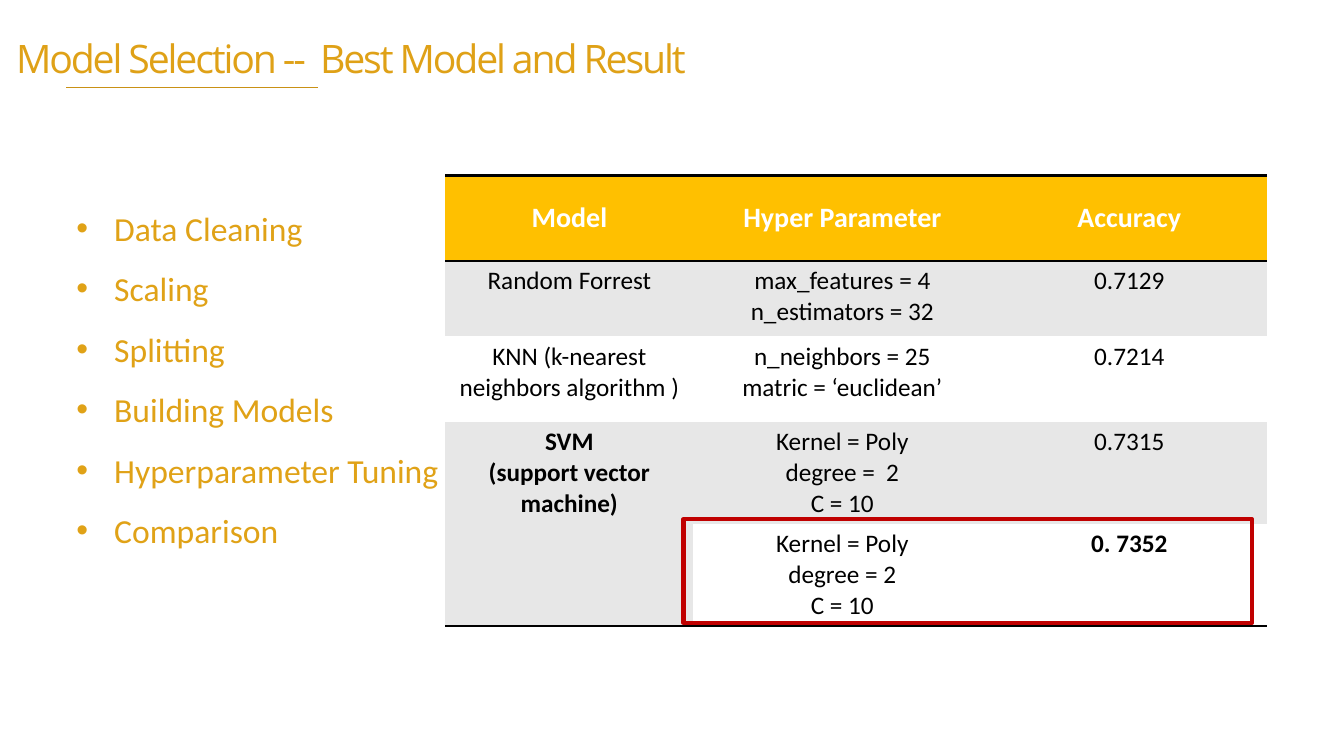
from lxml import etree
from pptx import Presentation
from pptx.dml.color import RGBColor
from pptx.enum import shapes, text
from pptx.oxml import ns
from pptx.util import Pt

HUES = {
    "title": "DFA117", "rule": "C99115", "step": "E0A217", "head": "FFC000",
    "band": "E7E7E7", "white": "FFFFFF", "black": "000000", "mark": "C00000",
}
STEPS = ["Data Cleaning", "Scaling", "Splitting", "Building Models",
         "Hyperparameter Tuning", "Comparison"]
COLS = [177, 213, 197]
ROWS = [61, 54, 61, 73, 73]
CELLS = [
    ["Model", "Hyper Parameter", "Accuracy"],
    ["Random Forrest", "max_features = 4\nn_estimators = 32", "0.7129"],
    ["KNN (k-nearest neighbors algorithm )",
     "n_neighbors = 25\nmatric = ‘euclidean’", "0.7214"],
    ["SVM\n(support vector machine)",
     "Kernel = Poly\ndegree =  2\nC = 10", "0.7315"],
    ["", "Kernel = Poly\ndegree = 2\nC = 10", "0. 7352"],
]
BOLD = {(3, 0), (4, 2)}
CENTER = text.PP_ALIGN.CENTER


def hue(name):
    return RGBColor.from_string(HUES[name])


def put(item, vals):
    for key, val in vals.items():
        setattr(item, key, val)


def add(node, tag, **attrs):
    return etree.SubElement(node, ns.qn(tag), attrs)


def write(frame, lines, look, color, form):
    """Fill a text frame, one paragraph a line."""
    frame.text = "\n".join(lines)
    for par in frame.paragraphs:
        put(par, form)
        for run in par.runs:
            put(run.font, look)
            run.font.color.rgb = hue(color)
    return frame.paragraphs


def text_box(slide, box):
    frame = slide.shapes.add_textbox(*map(Pt, box)).text_frame
    frame.word_wrap = True
    return frame


def title(slide, box):
    left, top, wide, high = box
    # Heading with tight letter spacing
    look = {"name": "Open Sans", "size": Pt(28)}
    pars = write(text_box(slide, box),
                 ["Model Selection --  Best Model and Result "],
                 look, "title", {"alignment": CENTER})
    for run in pars[0].runs:
        run.font._element.set("spc", "-150")
    # Thin rule under the heading
    x, y = left + 95, top + high + 0.7
    rule = slide.shapes.add_connector(
        shapes.MSO_CONNECTOR.STRAIGHT, Pt(x), Pt(y), Pt(x + 179.3), Pt(y))
    rule.line.color.rgb = hue("rule")
    rule.line.width = Pt(1)
    add(rule._element.spPr, "a:effectLst")


def steps(slide, box):
    look = {"name": "Calibri", "size": Pt(24)}
    pars = write(text_box(slide, box), STEPS, look, "step",
                 {"line_spacing": 1.5})
    for par in pars:
        props = par._p.get_or_add_pPr()
        props.set("marL", str(Pt(27)))
        props.set("indent", str(-Pt(27)))
        add(props, "a:buFont", typeface="Arial")
        add(props, "a:buChar", char="•")


def border(cell, sides):
    """Draw the named sides in black and clear the others."""
    props = cell._tc.get_or_add_tcPr()
    for side in "LRTB":
        line = add(props, "a:ln" + side, w=str(Pt(2)))
        if side in sides:
            add(add(line, "a:solidFill"), "a:srgbClr", val=HUES["black"])
        else:
            add(line, "a:noFill")


def results(slide, box):
    left, top, wide, high = box
    grid = slide.shapes.add_table(len(ROWS), len(COLS), *map(Pt, box)).table
    put(grid, {"first_row": False, "horz_banding": False})
    for col, size in zip(grid.columns, COLS):
        col.width = Pt(size)
    for row, size in zip(grid.rows, ROWS):
        row.height = Pt(size)
    grid.cell(3, 0).merge(grid.cell(4, 0))

    # Cells: gold header, then grey and white bands
    last = len(ROWS) - 1
    for r, row in enumerate(CELLS):
        for c, words in enumerate(row):
            cell = grid.cell(r, c)
            head, span = r == 0, c == 0 and r >= 3
            sides = "T" if r < 2 else ""
            if r in (0, last) or span:
                sides += "B"
            border(cell, sides)
            fill = "head" if head else "band" if r % 2 or span else "white"
            cell.fill.solid()
            cell.fill.fore_color.rgb = hue(fill)
            if head:
                cell.vertical_anchor = text.MSO_ANCHOR.MIDDLE
            look = {"name": "Calibri", "size": Pt(20 if head else 18),
                    "bold": head or (r, c) in BOLD}
            write(cell.text_frame, words.split("\n"), look,
                  "white" if head else "black", {"alignment": CENTER})

    # Red frame around the best result
    best = slide.shapes.add_shape(
        shapes.MSO_SHAPE.RECTANGLE, Pt(left + 170), Pt(top + 245.5),
        Pt(406), Pt(74.2))
    best.shadow.inherit = False
    best.fill.background()
    best.line.color.rgb = hue("mark")
    best.line.width = Pt(3)


def main():
    deck = Presentation()
    put(deck, {"slide_width": Pt(960), "slide_height": Pt(540)})
    slide = deck.slides.add_slide(deck.slide_layouts[6])
    title(slide, (-47.5, 20.9, 601.9, 41))
    steps(slide, (47.5, 130.3, 844.6, 314.6))
    results(slide, (318.2, 125.3, sum(COLS), sum(ROWS)))
    deck.save("out.pptx")


if __name__ == "__main__":
    main()
